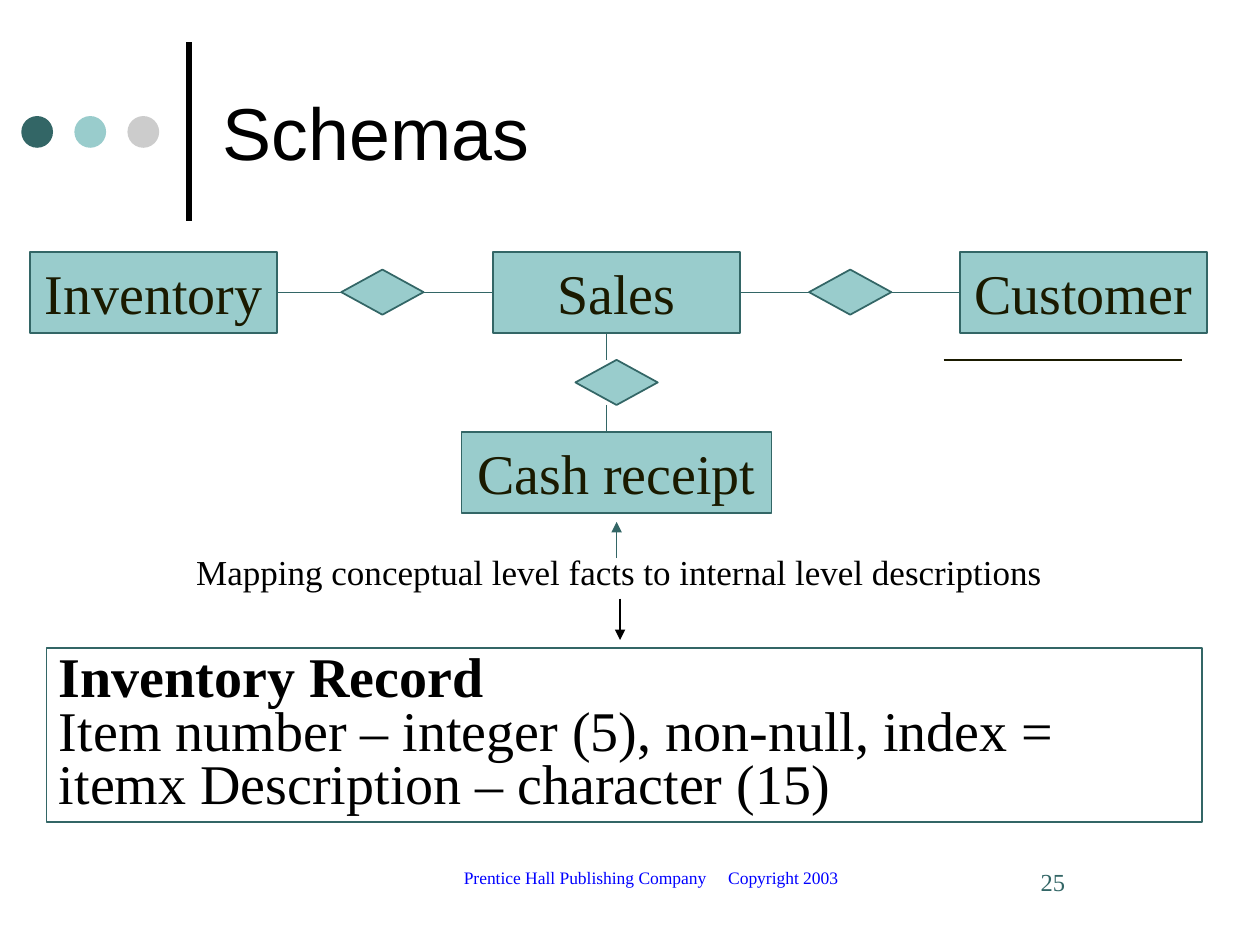
import pptx
import pptx.dml.color
import pptx.enum.shapes
import pptx.enum.text
import pptx.oxml
import pptx.oxml.ns
import pptx.util
import lxml.etree

Cm = pptx.util.Cm
Pt = pptx.util.Pt
qn = pptx.oxml.ns.qn
SHAPE = pptx.enum.shapes.MSO_SHAPE
ALIGN = pptx.enum.text.PP_ALIGN
ANCHOR = pptx.enum.text.MSO_ANCHOR

COLORS = {
    "teal": "336666",
    "aqua": "99CCCC",
    "grey": "CCCCCC",
    "black": "000000",
    "olive": "1A1A00",
    "blue": "0000FF",
}


def rgb(name):
    return pptx.dml.color.RGBColor.from_string(COLORS[name])


def write(p, text, size=32, color="black", font="Times New Roman",
          bold=False, align=ALIGN.LEFT, spacing=1.0, tab=None):
    p.alignment = align
    p.line_spacing = spacing
    p.space_before = Pt(0)
    if tab is not None:
        tabs = lxml.etree.SubElement(p._p.get_or_add_pPr(), qn("a:tabLst"))
        lxml.etree.SubElement(tabs, qn("a:tab"), pos=str(Cm(tab)), algn="l")
    r = p.add_run()
    r.text = text
    r.font.name = font
    r.font.size = Pt(size)
    r.font.bold = bold
    r.font.color.rgb = rgb(color)


class Deck:
    def __init__(self):
        self.prs = pptx.Presentation()
        self.prs.slide_width = Cm(25.4)
        self.prs.slide_height = Cm(19.05)
        self.s = self.prs.slides.add_slide(self.prs.slide_layouts[5])

    def frame(self, sp, anchor=ANCHOR.TOP, wrap=True, left=0.25):
        tf = sp.text_frame
        tf.auto_size = pptx.enum.text.MSO_AUTO_SIZE.NONE
        tf.word_wrap = wrap
        tf.vertical_anchor = anchor
        tf.margin_left, tf.margin_right = Cm(left), Cm(0.25)
        tf.margin_top = tf.margin_bottom = Cm(0.13)
        return tf

    def title(self, text, x, y, w, h):
        sp = self.s.shapes.title
        sp.left, sp.top, sp.width, sp.height = Cm(x), Cm(y), Cm(w), Cm(h)
        tf = self.frame(sp, ANCHOR.MIDDLE)
        write(tf.paragraphs[0], text, size=42, font="Arial")

    def shape(self, kind, x, y, w, h, fill=None, line="teal"):
        sp = self.s.shapes.add_shape(kind, Cm(x), Cm(y), Cm(w), Cm(h))
        sp.shadow.inherit = False
        if fill:
            sp.fill.solid()
            sp.fill.fore_color.rgb = rgb(fill)
        else:
            sp.fill.background()
        if line:
            sp.line.color.rgb = rgb(line)
            sp.line.width = Pt(1)
        else:
            sp.line.fill.background()
        return sp

    def entity(self, name, center, y, w=4.98):
        sp = self.shape(SHAPE.RECTANGLE, center - w / 2, y, w, 1.63, "aqua")
        tf = self.frame(sp, ANCHOR.MIDDLE, wrap=False)
        write(tf.paragraphs[0], name, color="olive", align=ALIGN.CENTER)

    def relation(self, x, y, w=1.66, h=0.91):
        self.shape(SHAPE.DIAMOND, x - w / 2, y - h / 2, w, h, "aqua")

    def line(self, x1, y1, x2, y2, color="teal", width=1.0, arrow=False):
        sp = self.s.shapes.add_connector(
            pptx.enum.shapes.MSO_CONNECTOR.STRAIGHT,
            Cm(x1), Cm(y1), Cm(x2), Cm(y2))
        sp.line.color.rgb = rgb(color)
        sp.line.width = Pt(width)
        if arrow:
            lxml.etree.SubElement(sp.line._get_or_add_ln(), qn("a:tailEnd"),
                                  type="triangle")
        lxml.etree.SubElement(sp._element.spPr, qn("a:effectLst"))

    def text(self, text, x, y, w, h, left=0.25, **style):
        sp = self.s.shapes.add_textbox(Cm(x), Cm(y), Cm(w), Cm(h))
        write(self.frame(sp, left=left).paragraphs[0], text, **style)

    def record(self, heading, body, x, y, w, h):
        tf = self.frame(self.shape(SHAPE.RECTANGLE, x, y, w, h))
        write(tf.paragraphs[0], heading, bold=True, spacing=0.8)
        write(tf.add_paragraph(), body, spacing=0.8)


def main():
    deck = Deck()
    deck.title("Schemas", 4.24, 0.53, 19.48, 4.24)
    deck.line(3.81, 4.45, 3.81, 0.84, "black", 3)
    for i, color in enumerate(("teal", "aqua", "grey")):
        deck.shape(SHAPE.OVAL, 0.43 + 1.07 * i, 2.34, 0.64, 0.64, color, None)

    row_y, row_mid, middle = 5.08, 5.89, 12.43
    for name, x in (("Inventory", 3.1), ("Sales", middle), ("Customer", 21.84)):
        deck.entity(name, x, row_y)
    deck.entity("Cash receipt", middle, 8.71, 6.25)

    for x, y in ((7.71, row_mid), (17.14, row_mid), (middle, 7.71)):
        deck.relation(x, y)
    for x1, x2 in ((5.59, 6.88), (8.54, 9.94), (14.92, 16.31), (17.97, 19.35)):
        deck.line(x1, row_mid, x2, row_mid, width=0.75)
    for y1, y2 in ((6.71, 7.26), (8.16, 8.71)):
        deck.line(12.22, y1, 12.22, y2, width=0.75)
    deck.line(19.02, 7.26, 23.83, 7.26, "olive")

    deck.text("Mapping conceptual level facts to internal level descriptions",
              3.38, 11.07, 18.21, 1.02, size=20, align=ALIGN.CENTER, spacing=0.9)
    deck.line(middle, 11.25, middle, 10.52, arrow=True)
    deck.line(12.5, 12.07, 12.5, 12.9, "black", 0.75, True)
    deck.record("Inventory Record",
                "Item number – integer (5), non-null, index = itemx "
                "Description – character (15)",
                0.94, 13.06, 23.29, 3.51)

    deck.text("Prentice Hall Publishing Company\tCopyright 2003",
              8.05, 17.35, 10.16, 1.27, left=1.3, size=10, color="blue", tab=5.33)
    deck.text("25", 20.12, 17.35, 3.61, 1.27, left=0.86, size=14, color="teal")
    deck.prs.save("out.pptx")


if __name__ == "__main__":
    main()
